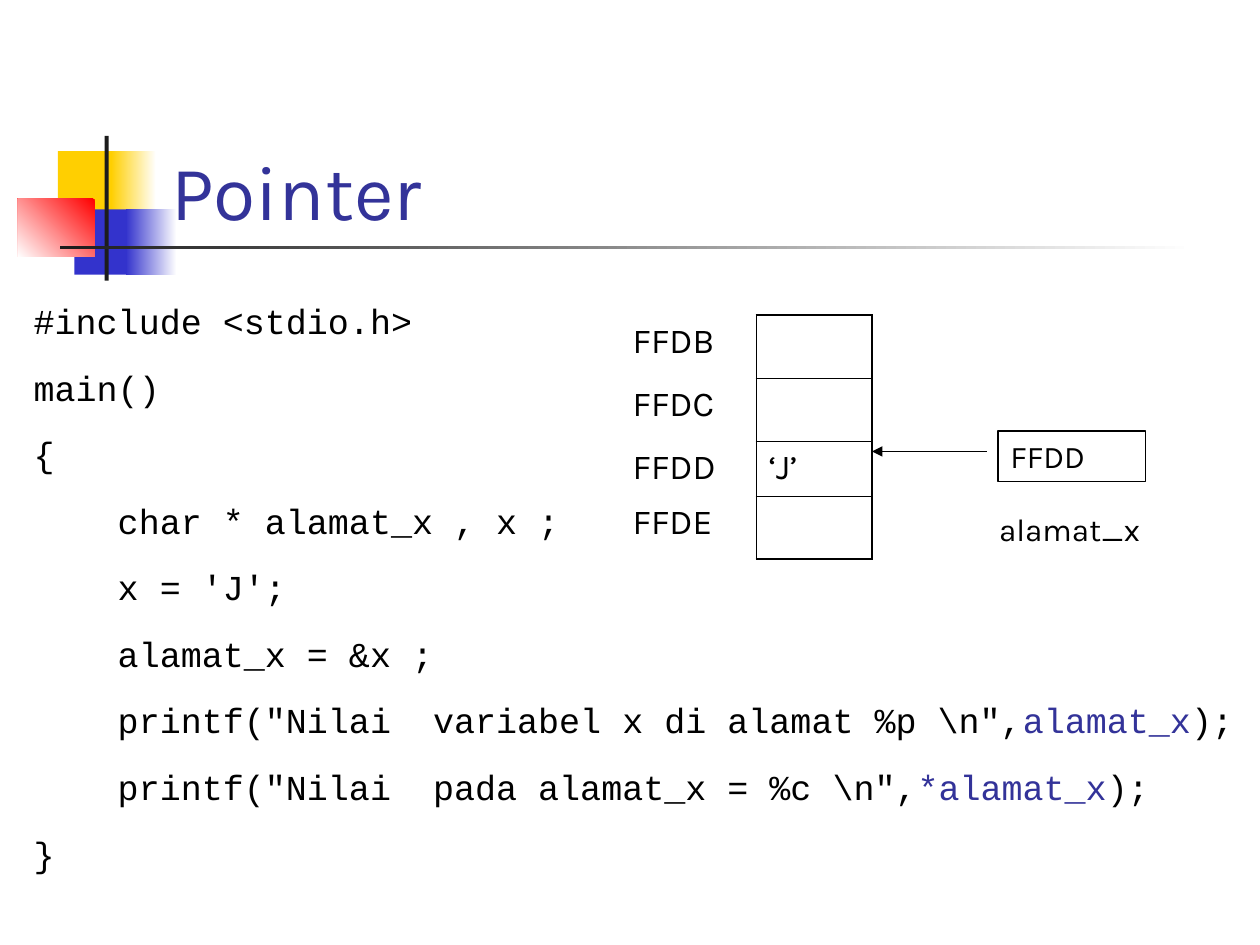
from lxml import etree
from pptx import Presentation
from pptx.dml.color import RGBColor
from pptx.enum.shapes import MSO_CONNECTOR, MSO_SHAPE
from pptx.enum.text import MSO_ANCHOR
from pptx.oxml import parse_xml
from pptx.oxml.ns import nsdecls, qn
from pptx.util import Cm, Pt

BLACK, WHITE, ACCENT = "000000", "FFFFFF", "333399"
YELLOW, BLUE, RED, CHARCOAL = "FFCF01", "3333CC", "FF0000", "1C1C1C"
BODY_FONT, CODE_FONT = "Karla", "Courier New"

# left, top, width, height in cm, then a colour or (start, end, angle)
DECORATION = [
    (1.17, 3.05, 1.22, 1.32, YELLOW),
    (2.24, 3.05, 0.91, 1.32, (WHITE, YELLOW, 180)),
    (1.5, 4.22, 1.17, 1.32, BLUE),
    (2.54, 4.22, 1.02, 1.32, (WHITE, BLUE, 180)),
    (0.36, 4.01, 1.55, 1.17, (RED, WHITE, 225)),
    (2.11, 2.74, 0.08, 2.92, CHARCOAL),
    (1.22, 4.95, 22.86, 0.08, (WHITE, CHARCOAL, 180)),
]

# Every second fragment of a line is highlighted
CODE = [
    ["#include <stdio.h>"],
    ["main()"],
    ["{"],
    ["    char * alamat_x , x ;"],
    ["    x = 'J';"],
    ["    alamat_x = &x ;"],
    ['    printf("Nilai  variabel x di alamat %p \\n",', "alamat_x", ");"],
    ['    printf("Nilai  pada alamat_x = %c \\n",', "*alamat_x", ");"],
    ["}"],
]

# address, content, row height in cm
MEMORY = [
    ("FFDB", "", 1.27),
    ("FFDC", "", 1.27),
    ("FFDD", "‘J’", 1.11),
    ("FFDE", "", 1.27),
]


def color(value):
    return RGBColor.from_string(value)


def style_font(font, size, name=BODY_FONT, fill=BLACK):
    font.size = Pt(size)
    font.name = name
    font.color.rgb = color(fill)


def add_rectangle(slide, left, top, width, height):
    rectangle = slide.shapes.add_shape(
        MSO_SHAPE.RECTANGLE, Cm(left), Cm(top), Cm(width), Cm(height))
    rectangle.shadow.inherit = False
    return rectangle


def add_decoration(slide, left, top, width, height, paint):
    block = add_rectangle(slide, left, top, width, height)
    block.line.fill.background()
    if isinstance(paint, str):
        block.fill.solid()
        block.fill.fore_color.rgb = color(paint)
        return
    *stop_colors, angle = paint
    block.fill.gradient()
    block.fill.gradient_angle = angle
    for stop, stop_color in zip(block.fill.gradient_stops, stop_colors):
        stop.color.rgb = color(stop_color)


def add_label(slide, left, top, width, height, text, size, fill=BLACK,
              anchor=MSO_ANCHOR.TOP):
    label = slide.shapes.add_textbox(Cm(left), Cm(top), Cm(width), Cm(height))
    frame = label.text_frame
    frame.word_wrap = True
    frame.vertical_anchor = anchor
    frame.text = text
    style_font(frame.paragraphs[0].runs[0].font, size, fill=fill)
    return label


def add_code(slide):
    listing = slide.shapes.add_textbox(Cm(0.43), Cm(5.92), Cm(24.97), Cm(11.4))
    frame = listing.text_frame
    frame.word_wrap = True
    for number, fragments in enumerate(CODE):
        line = frame.add_paragraph() if number else frame.paragraphs[0]
        if number:
            line.space_before = Pt(14)
        for position, fragment in enumerate(fragments):
            run = line.add_run()
            run.text = fragment
            style_font(run.font, 20, CODE_FONT, ACCENT if position % 2 else BLACK)


def set_borders(cell, **widths):
    """Draw the sides L, R, T and B with the given widths in points."""
    properties = cell._tc.get_or_add_tcPr()
    for side in "LRTB":
        if side in widths:
            width = Pt(widths[side])
            paint = f'<a:solidFill><a:srgbClr val="{BLACK}"/></a:solidFill>'
        else:
            width, paint = 0, "<a:noFill/>"
        properties.append(parse_xml(
            f'<a:ln{side} {nsdecls("a")} w="{width}">{paint}</a:ln{side}>'))


def add_memory_table(slide):
    thin, thick = 0.45, 1.08
    height = sum(row[2] for row in MEMORY)
    table = slide.shapes.add_table(
        len(MEMORY), 2, Cm(12.5), Cm(6.35), Cm(5.08), Cm(height)).table
    table.first_row = table.horz_banding = False
    table.columns[0].width, table.columns[1].width = Cm(2.74), Cm(2.34)
    last = len(MEMORY) - 1
    for index, (address, content, row_height) in enumerate(MEMORY):
        table.rows[index].height = Cm(row_height)
        address_cell, content_cell = table.cell(index, 0), table.cell(index, 1)
        set_borders(address_cell, R=thin)
        set_borders(content_cell, L=thin, R=thick,
                    T=thin if index else thick,
                    B=thick if index == last else thin)
        for cell, text in ((address_cell, address), (content_cell, content)):
            cell.fill.background()
            cell.text = text
            style_font(cell.text_frame.paragraphs[0].font, 20)
            for run in cell.text_frame.paragraphs[0].runs:
                style_font(run.font, 20)


def add_pointer_box(slide):
    box = add_label(slide, 20.12, 8.69, 2.97, 1.02, "FFDD", 18)
    box.line.color.rgb = color(BLACK)
    box.line.width = Pt(0.75)


def add_arrow(slide, start, end, height):
    arrow = slide.shapes.add_connector(
        MSO_CONNECTOR.STRAIGHT, Cm(start), Cm(height), Cm(end), Cm(height))
    arrow.line.color.rgb = color(BLACK)
    arrow.line.width = Pt(0.75)
    etree.SubElement(arrow.line._get_or_add_ln(), qn("a:tailEnd"), type="triangle")
    etree.SubElement(arrow._element.spPr, qn("a:effectLst"))


def main():
    presentation = Presentation()
    presentation.slide_width, presentation.slide_height = Cm(25.4), Cm(19.05)
    slide = presentation.slides.add_slide(presentation.slide_layouts[6])
    for block in DECORATION:
        add_decoration(slide, *block)
    add_label(slide, 3.2, 1.7, 21.64, 3.18, "Pointer", 44, ACCENT,
              MSO_ANCHOR.BOTTOM)
    add_code(slide)
    add_memory_table(slide)
    add_pointer_box(slide)
    add_arrow(slide, 19.89, 17.58, 9.1)
    add_label(slide, 19.89, 10.16, 3.61, 1.02, "alamat_x", 18)
    presentation.save("out.pptx")


if __name__ == "__main__":
    main()
